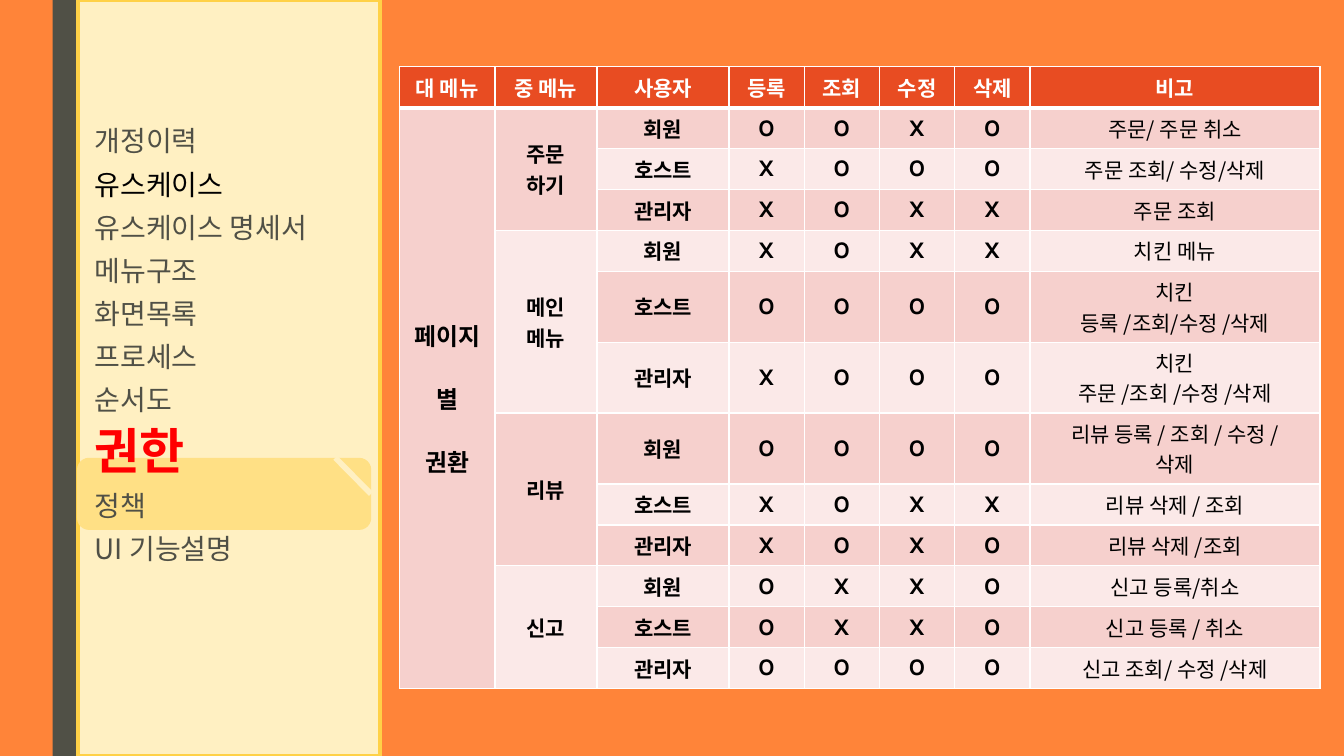
"""Build the permissions slide: a menu sidebar beside a table of user rights."""
from lxml.etree import SubElement
from pptx import Presentation
from pptx.dml.color import RGBColor
from pptx.enum.shapes import MSO_CONNECTOR as CONN, MSO_SHAPE as SHAPE
from pptx.enum.text import MSO_ANCHOR as ANCHOR, PP_ALIGN as ALIGN
from pptx.oxml.ns import qn
from pptx.util import Pt

COLORS = {
    "orange": "FF8439", "gray": "505046", "cream": "FFF0C2", "gold": "FFD147",
    "tab": "FFE085", "header": "E84C22", "dark": "F6D0CD", "light": "FBE9E8",
    "white": "FFFFFF", "black": "000000", "red": "FF0000",
}
KOREAN = "Noto Sans CJK KR"
MENU = ["개정이력", "유스케이스", "유스케이스 명세서", "메뉴구조", "화면목록",
        "프로세스", "순서도", "권한", "정책", "UI 기능설명"]
MENU_STYLES = {
    "유스케이스": dict(font="Calibri", color="black"),
    "권한": dict(size=35, color="red", bold=True),
}
HEADERS = ["대 메뉴", "중 메뉴", "사용자", "등록", "조회", "수정", "삭제", "비고"]
COL_WIDTHS = [68.2, 72.9, 94.3, 53.75, 53.75, 53.75, 53.75, 207.1]
ROW_HEIGHT, TALL_ROW = 29.2, 50.7
USERS = ["회원", "호스트", "관리자"]
RIGHTS = {
    "주문\n하기": [("OOXO", "주문/ 주문 취소"),
               ("XOOO", "주문 조회/ 수정/삭제"),
               ("XOXX", "주문 조회")],
    "메인\n메뉴": [("XOXX", "치킨 메뉴"),
               ("OOOO", "치킨\v등록 /조회/수정 /삭제"),
               ("XOOO", "치킨\v주문 /조회 /수정 /삭제")],
    "리뷰": [("OOOO", "리뷰 등록 / 조회 / 수정 /\n삭제"),
           ("XOXX", "리뷰 삭제 / 조회"),
           ("XOXO", "리뷰 삭제 /조회")],
    "신고": [("OXXO", "신고 등록/취소"),
           ("OXXO", "신고 등록 / 취소"),
           ("OOOO", "신고 조회/ 수정 /삭제")],
}


def rgb(name):
    return RGBColor.from_string(COLORS[name])


def write(p, text, size=15, font=KOREAN, color="black", bold=False,
          align=ALIGN.LEFT, before=0, after=0, spacing=None):
    p.text = text
    p.alignment = align
    p.space_before, p.space_after = Pt(before), Pt(after)
    if spacing:
        p.line_spacing = spacing
    for r in p.runs:
        r.font.size, r.font.name, r.font.bold = Pt(size), font, bold
        r.font.color.rgb = rgb(color)
        SubElement(r.font._element, qn("a:ea")).set("typeface", KOREAN)


def add_box(s, kind, left, top, width, height, fill, line=None):
    sp = s.shapes.add_shape(kind, Pt(left), Pt(top), Pt(width), Pt(height))
    sp.shadow.inherit = False
    sp.fill.solid()
    sp.fill.fore_color.rgb = rgb(fill)
    if line:
        sp.line.color.rgb, sp.line.width = rgb(line), Pt(2.75)
    else:
        sp.line.fill.background()


def add_line(s, x1, y1, x2, y2, color, width):
    line = s.shapes.add_connector(CONN.STRAIGHT, Pt(x1), Pt(y1), Pt(x2), Pt(y2))
    line.line.color.rgb, line.line.width = rgb(color), Pt(width)
    SubElement(line._element.spPr, qn("a:effectLst"))


def add_menu(s):
    tf = s.shapes.add_textbox(Pt(60.5), Pt(90), Pt(223.2), Pt(389.5)).text_frame
    tf.word_wrap = True
    for i, item in enumerate(MENU):
        p = tf.add_paragraph() if i else tf.paragraphs[0]
        style = dict(size=20, color="gray") | MENU_STYLES.get(item, {})
        write(p, item, before=10 if i else 0, after=2, spacing=0.78, **style)


def set_borders(cell, bottom):
    tc_pr = cell._tc.get_or_add_tcPr()
    widths = {"a:lnL": 1, "a:lnR": 1, "a:lnT": 1, "a:lnB": bottom}
    for i, (tag, width) in enumerate(widths.items()):
        ln = tc_pr.makeelement(qn(tag), {"w": str(Pt(width))})
        fill = SubElement(ln, qn("a:solidFill"))
        SubElement(fill, qn("a:srgbClr")).set("val", COLORS["white"])
        tc_pr.insert(i, ln)


def fill_cell(cell, text, gap=0, **style):
    cell.vertical_anchor = ANCHOR.MIDDLE
    tf = cell.text_frame
    for i, line in enumerate(text.split("\n")):
        p = tf.add_paragraph() if i else tf.paragraphs[0]
        write(p, line, align=ALIGN.CENTER, before=gap if i else 0, **style)


def add_rights_table(s):
    rows = [entry for entries in RIGHTS.values() for entry in entries]
    heights = [ROW_HEIGHT] + [TALL_ROW if "\n" in note or "\v" in note else ROW_HEIGHT
                              for _, note in rows]
    table = s.shapes.add_table(len(heights), len(HEADERS), Pt(285.4), Pt(47.7),
                               Pt(sum(COL_WIDTHS)), Pt(sum(heights))).table
    for col, width in zip(table.columns, COL_WIDTHS):
        col.width = Pt(width)
    for i, height in enumerate(heights):
        table.rows[i].height = Pt(height)
        for cell in table.rows[i].cells:
            cell.fill.solid()
            cell.fill.fore_color.rgb = rgb(("light", "dark")[i % 2] if i else "header")
            set_borders(cell, bottom=1 if i else 3)

    label = dict(font="Karla", bold=True)
    for j, header in enumerate(HEADERS):
        fill_cell(table.cell(0, j), header, color="white", **label)
    table.cell(1, 0).merge(table.cell(len(rows), 0))
    fill_cell(table.cell(1, 0), "페이지\n별\n권환", gap=20, size=17, **label)
    for g, menu in enumerate(RIGHTS):
        first = 1 + g * len(USERS)
        table.cell(first, 1).merge(table.cell(first + len(USERS) - 1, 1))
        fill_cell(table.cell(first, 1), menu, **label)
    for i, (marks, note) in enumerate(rows):
        fill_cell(table.cell(i + 1, 2), USERS[i % len(USERS)], **label)
        for j, mark in enumerate(marks, 3):
            fill_cell(table.cell(i + 1, j), mark, size=17, **label)
        fill_cell(table.cell(i + 1, 7), note)


def main():
    prs = Presentation()
    prs.slide_width, prs.slide_height = Pt(960), Pt(540)
    s = prs.slides.add_slide(prs.slide_layouts[6])
    s.background.fill.solid()
    s.background.fill.fore_color.rgb = rgb("orange")
    add_box(s, SHAPE.RECTANGLE, 37.5, 0, 18, 540, "gray")
    add_box(s, SHAPE.RECTANGLE, 55.5, 0, 216, 540, "cream", line="gold")
    add_box(s, SHAPE.ROUNDED_RECTANGLE, 55, 327, 210.2, 51.5, "tab")
    add_line(s, 265, 352.8, 239.5, 327, "cream", 4)
    add_menu(s)
    add_rights_table(s)
    prs.save("out.pptx")


if __name__ == "__main__":
    main()
